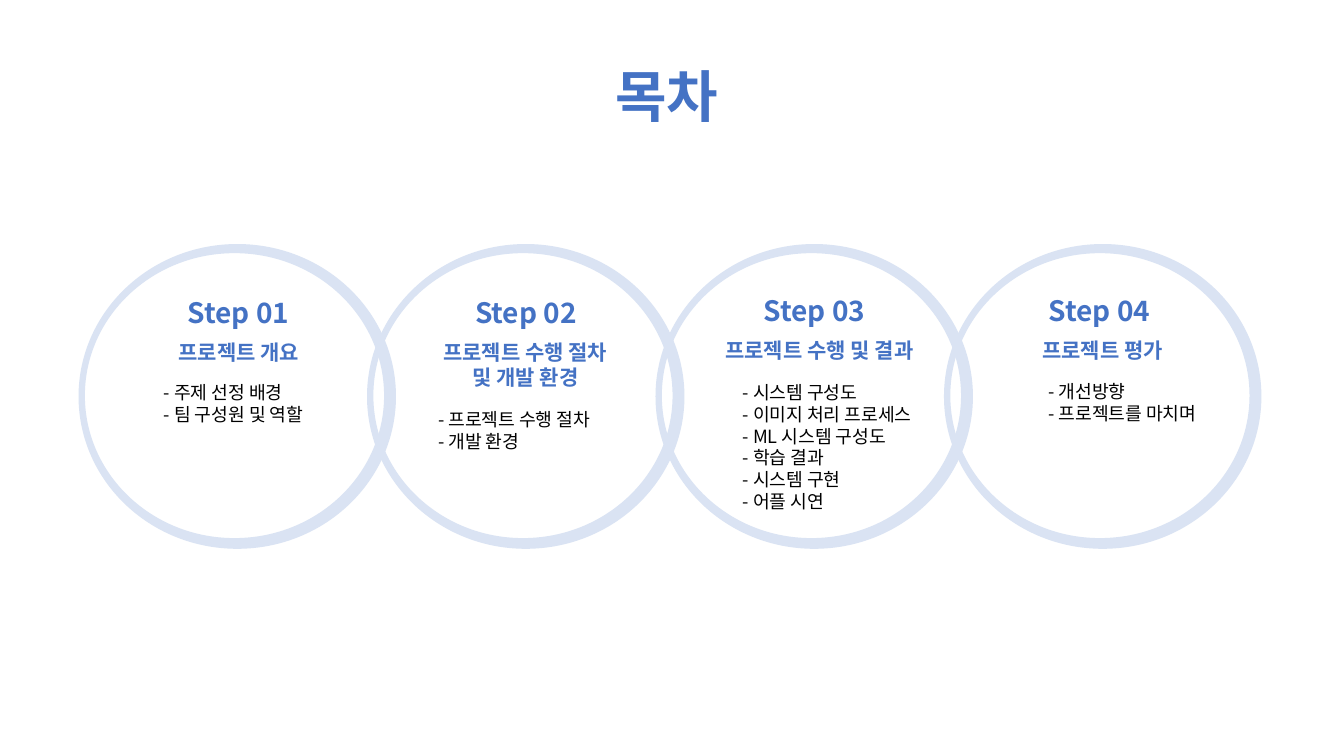
"""Contents slide: four project steps inside a chain of interlocking rings."""
from lxml import etree
from pptx import Presentation
from pptx.dml.color import RGBColor
from pptx.enum import text as t
from pptx.oxml.ns import qn
from pptx.util import Cm, Pt

HEADING = "목차"
HEADING_BOX = (15.14, 1.42, 3.33)
STEPS = [
    {"label": "Step 01", "topic": ["프로젝트 개요"],
     "items": ["주제 선정 배경", "팀 구성원 및 역할"],
     "label_box": (4.47, 7.31, 3.07), "topic_box": (4.09, 8.42, 3.86),
     "items_box": (3.88, 9.48, 4.65)},
    {"label": "Step 02", "topic": ["프로젝트 수행 절차", "및 개발 환경"],
     "items": ["프로젝트 수행 절차", "개발 환경"],
     "label_box": (11.72, 7.32, 3.07), "topic_box": (10.7, 8.43, 5.08),
     "items_box": (10.79, 10.16, 5.21)},
    {"label": "Step 03", "topic": ["프로젝트 수행 및 결과"],
     "items": ["시스템 구성도", "이미지 처리 프로세스", "ML 시스템 구성도",
               "학습 결과", "시스템 구현", "어플 시연"],
     "label_box": (18.99, 7.28, 3.07), "topic_box": (17.75, 8.38, 5.8),
     "items_box": (18.47, 9.48, 5.13)},
    {"label": "Step 04", "topic": ["프로젝트 평가"],
     "items": ["개선방향", "프로젝트를 마치며"],
     "label_box": (26.17, 7.26, 3.07), "topic_box": (25.86, 8.38, 3.86),
     "items_box": (26.17, 9.45, 4.57)},
]

THEME = {
    "font": "Noto Sans CJK KR",
    "accent": RGBColor(0x44, 0x72, 0xC4),
    "body": RGBColor(0, 0, 0),
    "ring": RGBColor(0xDA, 0xE3, 0xF3),
    "heading_size": 40, "label_size": 20, "topic_size": 15, "item_size": 13,
}

RING_PITCH = 7.27
OUTER = (5.98, 9.99, 4.0, 3.84)
INNER = (5.91, 9.97, 3.77, 3.59)
ARC_RATIO = 0.5523
LINE_HEIGHT = 1.2
INSET = 0.13


def add_lines(slide, lines, box, size, color, bold=True):
    left, top, width = box
    height = len(lines) * size * LINE_HEIGHT * 2.54 / 72 + 2 * INSET
    area = slide.shapes.add_textbox(Cm(left), Cm(top), Cm(width), Cm(height))
    frame = area.text_frame
    frame.word_wrap = False
    frame.auto_size = t.MSO_AUTO_SIZE.SHAPE_TO_FIT_TEXT
    frame.text = "\n".join(lines)
    for paragraph in frame.paragraphs:
        paragraph.alignment = t.PP_ALIGN.CENTER if bold else t.PP_ALIGN.LEFT
        font = paragraph.font
        font.name, font.size, font.bold = THEME["font"], Pt(size), bold
        font.color.rgb = color
        latin = paragraph._p.pPr.find(qn("a:defRPr")).find(qn("a:latin"))
        latin.addnext(etree.Element(qn("a:ea"), typeface=THEME["font"]))


def quarter_points(ellipse, shift, direction):
    x, y, radius_x, radius_y = ellipse
    x += shift
    return [(Cm(px), Cm(py)) for px, py in (
        (x + radius_x, y), (x, y + direction * radius_y),
        (x - radius_x, y), (x, y - direction * radius_y), (x + radius_x, y))]


def round_quarters(ring):
    """Turn each straight quarter into an elliptical arc."""
    outline = ring._element.spPr.find(".//" + qn("a:path"))
    start, upright = None, True
    for segment in list(outline):
        if segment.tag == qn("a:close"):
            continue
        point = segment.find(qn("a:pt"))
        end = int(point.get("x")), int(point.get("y"))
        if segment.tag == qn("a:lnTo"):
            corner = (start[0], end[1]) if upright else (end[0], start[1])
            arc = etree.Element(qn("a:cubicBezTo"))
            controls = [[round(p + ARC_RATIO * (c - p)) for p, c in zip(anchor, corner)]
                        for anchor in (start, end)]
            for px, py in (*controls, end):
                etree.SubElement(arc, qn("a:pt"), x=str(px), y=str(py))
            outline.replace(segment, arc)
            upright = not upright
        start = end


def add_ring(slide, shift):
    outer = quarter_points(OUTER, shift, 1)
    inner = quarter_points(INNER, shift, -1)
    builder = slide.shapes.build_freeform(*outer[0])
    builder.add_line_segments(outer[1:], close=True)
    builder.move_to(*inner[0])
    builder.add_line_segments(inner[1:], close=True)
    ring = builder.convert_to_shape()
    round_quarters(ring)
    ring.shadow.inherit = False
    ring.fill.solid()
    ring.fill.fore_color.rgb = THEME["ring"]
    ring.line.fill.background()


def main():
    deck = Presentation()
    deck.slide_width, deck.slide_height = Cm(33.87), Cm(19.05)
    slide = deck.slides.add_slide(deck.slide_layouts[6])
    accent = THEME["accent"]
    add_lines(slide, [HEADING], HEADING_BOX, THEME["heading_size"], accent)
    for index, step in enumerate(STEPS):
        add_lines(slide, [step["label"]], step["label_box"], THEME["label_size"], accent)
        add_lines(slide, step["topic"], step["topic_box"], THEME["topic_size"], accent)
        add_lines(slide, [f"- {item}" for item in step["items"]], step["items_box"],
                  THEME["item_size"], THEME["body"], bold=False)
        add_ring(slide, index * RING_PITCH)
    deck.save("out.pptx")


if __name__ == "__main__":
    main()
